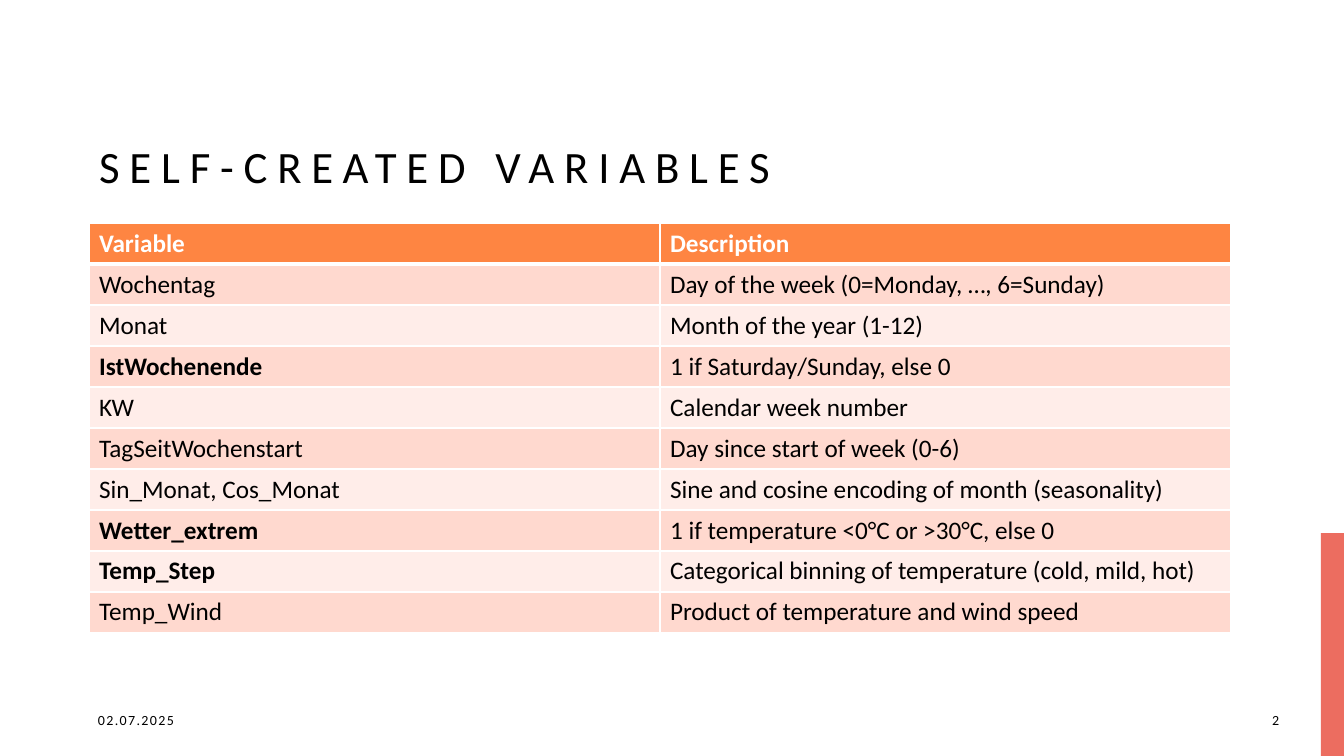
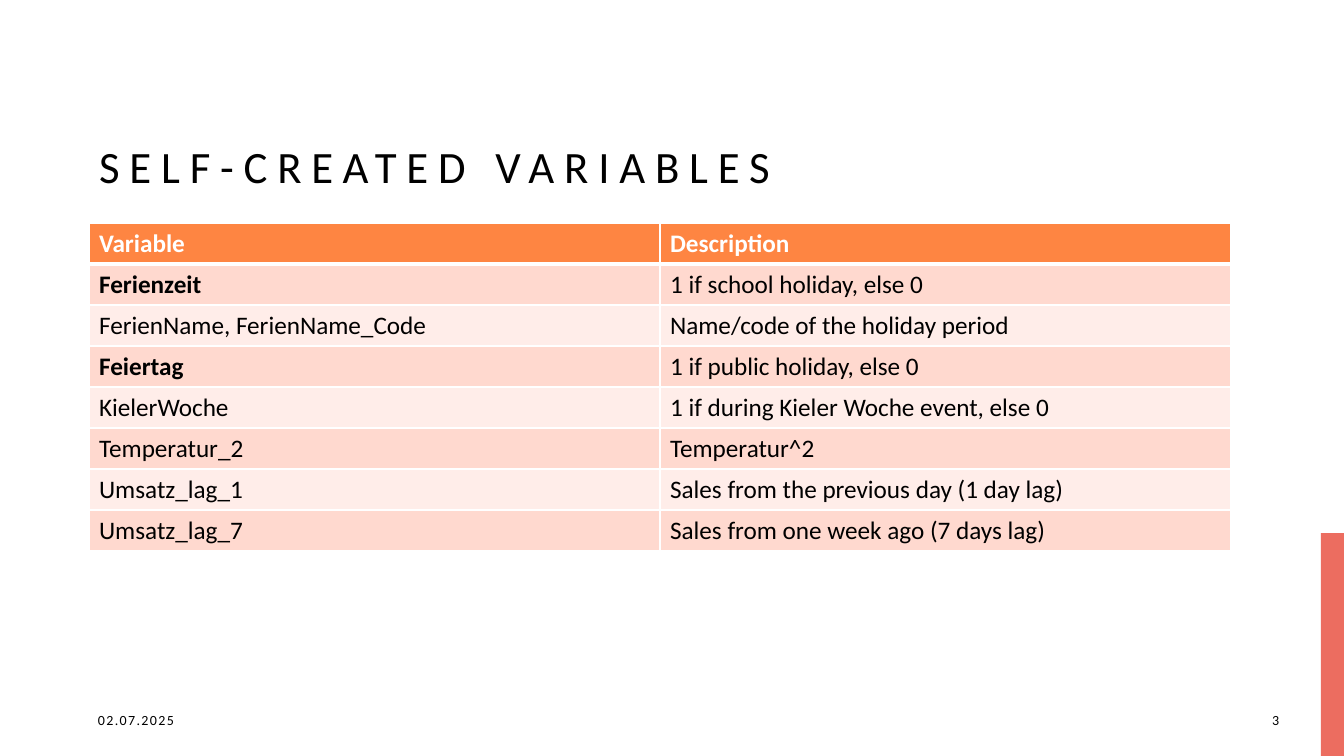
from lxml.etree import SubElement
from pptx import Presentation
from pptx.dml.color import RGBColor
from pptx.enum.shapes import MSO_SHAPE
from pptx.enum.text import MSO_ANCHOR, MSO_AUTO_SIZE, PP_ALIGN
from pptx.oxml.ns import qn
from pptx.util import Emu, Pt

# Shared style
FONT = "Calibri"
BLACK = RGBColor(0x00, 0x00, 0x00)
WHITE = RGBColor(0xFF, 0xFF, 0xFF)
CORAL = RGBColor(0xEC, 0x6D, 0x60)
ORANGE = RGBColor(0xFE, 0x85, 0x42)
BANDS = (RGBColor(0xFF, 0xD9, 0xCF), RGBColor(0xFF, 0xED, 0xE9))
TITLE = "SELF-CREATED VARIABLES"
DATE = "02.07.2025"
HEAD = ("Variable", "Description")

# Table content; the names in KEY are bold
DAYS = [
    ("Wochentag", "Day of the week (0=Monday, …, 6=Sunday)"),
    ("Monat", "Month of the year (1-12)"),
    ("IstWochenende", "1 if Saturday/Sunday, else 0"),
    ("KW", "Calendar week number"),
    ("TagSeitWochenstart", "Day since start of week (0-6)"),
    ("Sin_Monat, Cos_Monat", "Sine and cosine encoding of month (seasonality)"),
    ("Wetter_extrem", "1 if temperature <0°C or >30°C, else 0"),
    ("Temp_Step", "Categorical binning of temperature (cold, mild, hot)"),
    ("Temp_Wind", "Product of temperature and wind speed"),
]
EVENTS = [
    ("Ferienzeit", "1 if school holiday, else 0"),
    ("FerienName, FerienName_Code", "Name/code of the holiday period"),
    ("Feiertag", "1 if public holiday, else 0"),
    ("KielerWoche", "1 if during Kieler Woche event, else 0"),
    ("Temperatur_2", "Temperatur^2"),
    ("Umsatz_lag_1", "Sales from the previous day (1 day lag)"),
    ("Umsatz_lag_7", "Sales from one week ago (7 days lag)"),
]
KEY = {"IstWochenende", "Wetter_extrem", "Temp_Step", "Ferienzeit", "Feiertag"}


def px(*sizes):
    """Turn px into EMU, at 100.8 px to the inch."""
    return [Emu(round(size * 914400 / 100.8)) for size in sizes]


class Deck:
    def __init__(self):
        self.prs = Presentation()
        self.prs.slide_width, self.prs.slide_height = px(1344, 756)
        self.slide = None

    def page(self, number):
        """Start a slide with the side bar, title and footer."""
        self.slide = self.prs.slides.add_slide(self.prs.slide_layouts[5])
        self.bar(1321, 533, 23, 223)
        self.title(TITLE)
        self.label(DATE, 88, 302, PP_ALIGN.LEFT)
        self.label(str(number), 1231, 58, PP_ALIGN.RIGHT)

    def style(self, para, size, color=BLACK, bold=False, gap=0):
        font = para.font
        font.name, font.size, font.bold = FONT, Pt(size), bold
        font.color.rgb = color
        if gap:
            para._p.pPr.find(qn("a:defRPr")).set("spc", str(gap * 100))

    def bar(self, *box):
        shape = self.slide.shapes.add_shape(MSO_SHAPE.RECTANGLE, *px(*box))
        shape.shadow.inherit = False
        shape.fill.solid()
        shape.fill.fore_color.rgb = CORAL
        shape.line.fill.background()

    def title(self, text):
        shape = self.slide.shapes.title
        shape.left, shape.top, shape.width, shape.height = px(89, 40, 1142, 158)
        frame = shape.text_frame
        frame.text = text
        frame.auto_size = MSO_AUTO_SIZE.NONE
        frame.vertical_anchor = MSO_ANCHOR.BOTTOM
        para = frame.paragraphs[0]
        para.alignment, para.line_spacing = PP_ALIGN.LEFT, 1.2
        self.style(para, 32, gap=7)

    def label(self, text, left, width, align):
        box = self.slide.shapes.add_textbox(*px(left, 700, width, 40))
        frame = box.text_frame
        frame.text = text
        frame.word_wrap = True
        frame.vertical_anchor = MSO_ANCHOR.MIDDLE
        para = frame.paragraphs[0]
        para.alignment = align
        self.style(para, 10, gap=1)

    def table(self, rows):
        grid = [HEAD, *rows]
        shape = self.slide.shapes.add_table(
            len(grid), len(HEAD), *px(89, 223, 1142, 41 * len(grid)))
        for r, row in enumerate(grid):
            for c, text in enumerate(row):
                self.cell(shape.table.cell(r, c), r, text)

    def cell(self, cell, r, text):
        head = r == 0
        cell.text = text
        self.style(cell.text_frame.paragraphs[0], 18,
                   WHITE if head else BLACK, head or text in KEY)
        # The rule below the header is thicker than the others
        self.edge(cell, "lnL", 1)
        self.edge(cell, "lnR", 1)
        self.edge(cell, "lnT", 3 if r == 1 else 1)
        self.edge(cell, "lnB", 3 if head else 1)
        cell.fill.solid()
        cell.fill.fore_color.rgb = ORANGE if head else BANDS[(r - 1) % 2]

    def edge(self, cell, side, width):
        props = cell._tc.get_or_add_tcPr()
        line = SubElement(props, qn("a:" + side), w=str(Pt(width)))
        fill = SubElement(line, qn("a:solidFill"))
        SubElement(fill, qn("a:srgbClr"), val=str(WHITE))


def main():
    deck = Deck()
    for number, rows in enumerate((DAYS, EVENTS), 2):
        deck.page(number)
        deck.table(rows)
    deck.prs.save("out.pptx")


if __name__ == "__main__":
    main()
